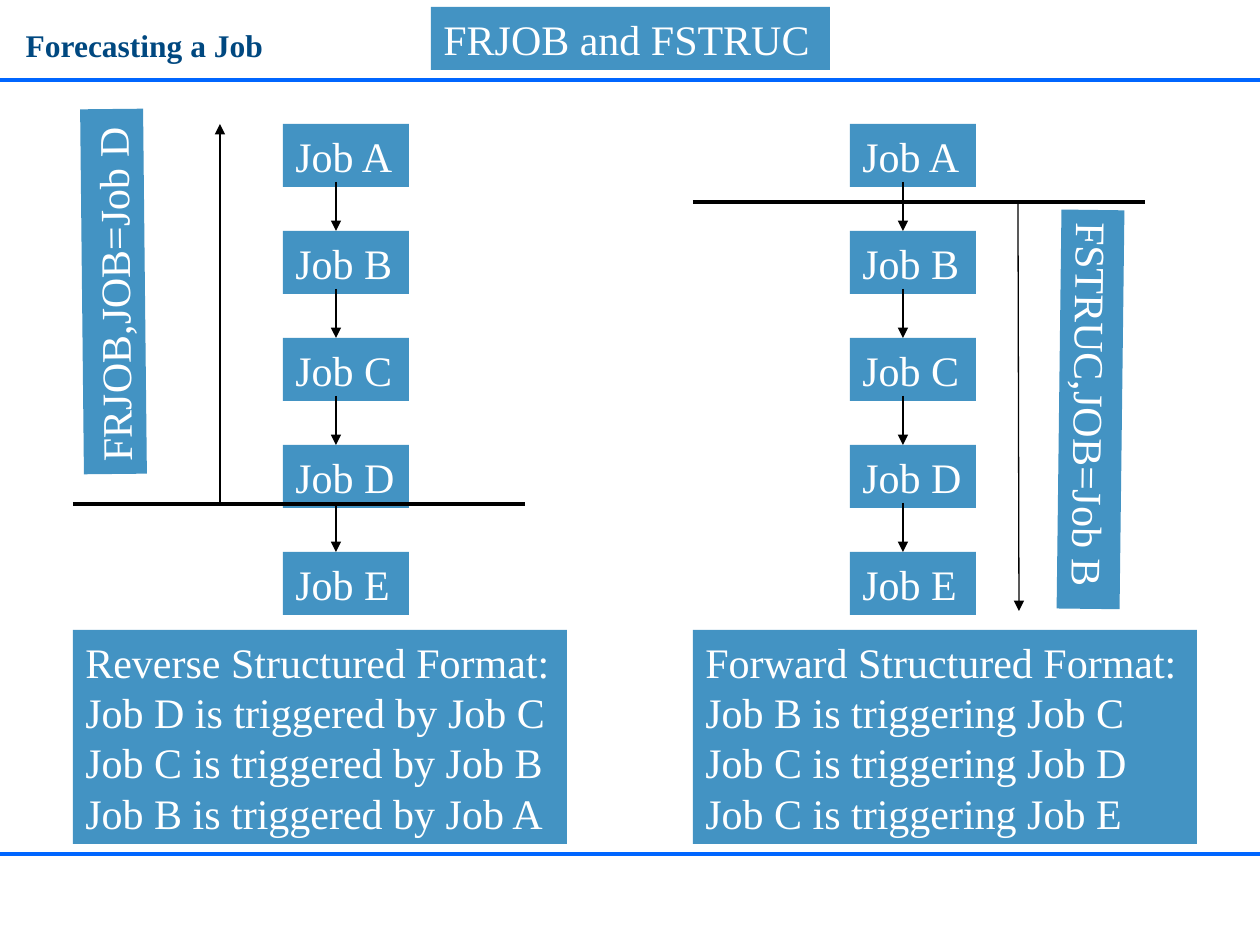
from lxml import etree
from pptx import Presentation, util as u
from pptx.dml.color import RGBColor
from pptx.enum import shapes, text
from pptx.oxml.ns import qn

PX = 914400 // 126
COLORS = {"box": "4393C3", "box_text": "FFFFFF", "heading": "004880",
          "rule": "0066FF", "line": "000000"}
FONT = "Times New Roman"
JOBS = ["Job A", "Job B", "Job C", "Job D", "Job E"]
JOB_W, JOB_H, JOB_PITCH = 126, 63, 107


def color(name):
    return RGBColor.from_string(COLORS[name])


def style_text(tf, words, size, name, bold=False):
    tf.text = words
    tf.vertical_anchor = text.MSO_ANCHOR.TOP
    p = tf.paragraphs[0]
    p.alignment = text.PP_ALIGN.LEFT
    p.font.name, p.font.size, p.font.bold = FONT, u.Pt(size), bold
    p.font.color.rgb = color(name)
    return p


def add_box(s, x, y, w, h, words, rotation=0):
    sp = s.shapes.add_shape(shapes.MSO_SHAPE.RECTANGLE, x * PX, y * PX, w * PX, h * PX)
    sp.shadow.inherit = False
    sp.fill.solid()
    sp.fill.fore_color.rgb = color("box")
    sp.line.fill.background()
    sp.rotation = rotation
    sp.text_frame.word_wrap = True
    p = style_text(sp.text_frame, words, 24, "box_text")
    p.line_spacing = u.Pt(28.8)


def add_line(s, x1, y1, x2, y2, width, name="line", arrow=False):
    c = s.shapes.add_connector(shapes.MSO_CONNECTOR.STRAIGHT,
                               x1 * PX, y1 * PX, x2 * PX, y2 * PX)
    c.line.color.rgb = color(name)
    c.line.width = u.Pt(width)
    if arrow:
        etree.SubElement(c.line._get_or_add_ln(), qn("a:tailEnd"), type="triangle")
    etree.SubElement(c._element.spPr, qn("a:effectLst"))


def add_header(s, x, y):
    add_box(s, x + 431, y + 7, 399, 63, "FRJOB and FSTRUC")
    sp = s.shapes.add_textbox((x + 13) * PX, (y + 20) * PX, 263 * PX, 50 * PX)
    sp.text_frame.word_wrap = False
    p = style_text(sp.text_frame, "Forecasting a Job", 18, "heading", bold=True)
    p.alignment = text.PP_ALIGN.CENTER


def add_job_chain(s, x, y):
    for i, job in enumerate(JOBS):
        add_box(s, x, y + i * JOB_PITCH, JOB_W, JOB_H, job)
    for i in range(len(JOBS) - 1):
        top = y + i * JOB_PITCH
        add_line(s, x + 53, top + 58, x + 53, top + JOB_PITCH, 0.75, arrow=True)


def add_reverse_panel(s, x, y):
    add_job_chain(s, x + 210, y)
    add_line(s, x, y + 380, x + 452, y + 380, 2)
    add_box(s, x - 142, y + 136, 365, 63, "FRJOB,JOB=Job D", 269.4)
    add_line(s, x + 147, y + 380, x + 147, y, 1.5, arrow=True)
    add_box(s, x, y + 506, 494, 214, "\v".join([
        "Reverse Structured Format:", "Job D is triggered by Job C",
        "Job C is triggered by Job B", "Job B is triggered by Job A"]))


def add_forward_panel(s, x, y):
    add_job_chain(s, x + 157, y)
    add_line(s, x, y + 78, x + 452, y + 78, 2)
    add_box(s, x + 198, y + 254, 399, 63, "FSTRUC,JOB=Job B", 90.7)
    add_box(s, x, y + 506, 504, 214, "\v".join([
        "Forward Structured Format:", "Job B is triggering Job C",
        "Job C is triggering Job D", "Job C is triggering Job E"]))
    add_line(s, x + 325, y + 78, x + 326, y + 487, 0.75, arrow=True)


def main():
    prs = Presentation()
    prs.slide_width, prs.slide_height = u.Inches(10), u.Inches(7.5)
    s = prs.slides.add_slide(prs.slide_layouts[6])
    for y in (854, 80):
        add_line(s, 0, y, 1260, y, 2.25, "rule")
    add_reverse_panel(s, 73, 124)
    add_forward_panel(s, 693, 124)
    add_header(s, 0, 0)
    prs.save("out.pptx")


if __name__ == "__main__":
    main()
